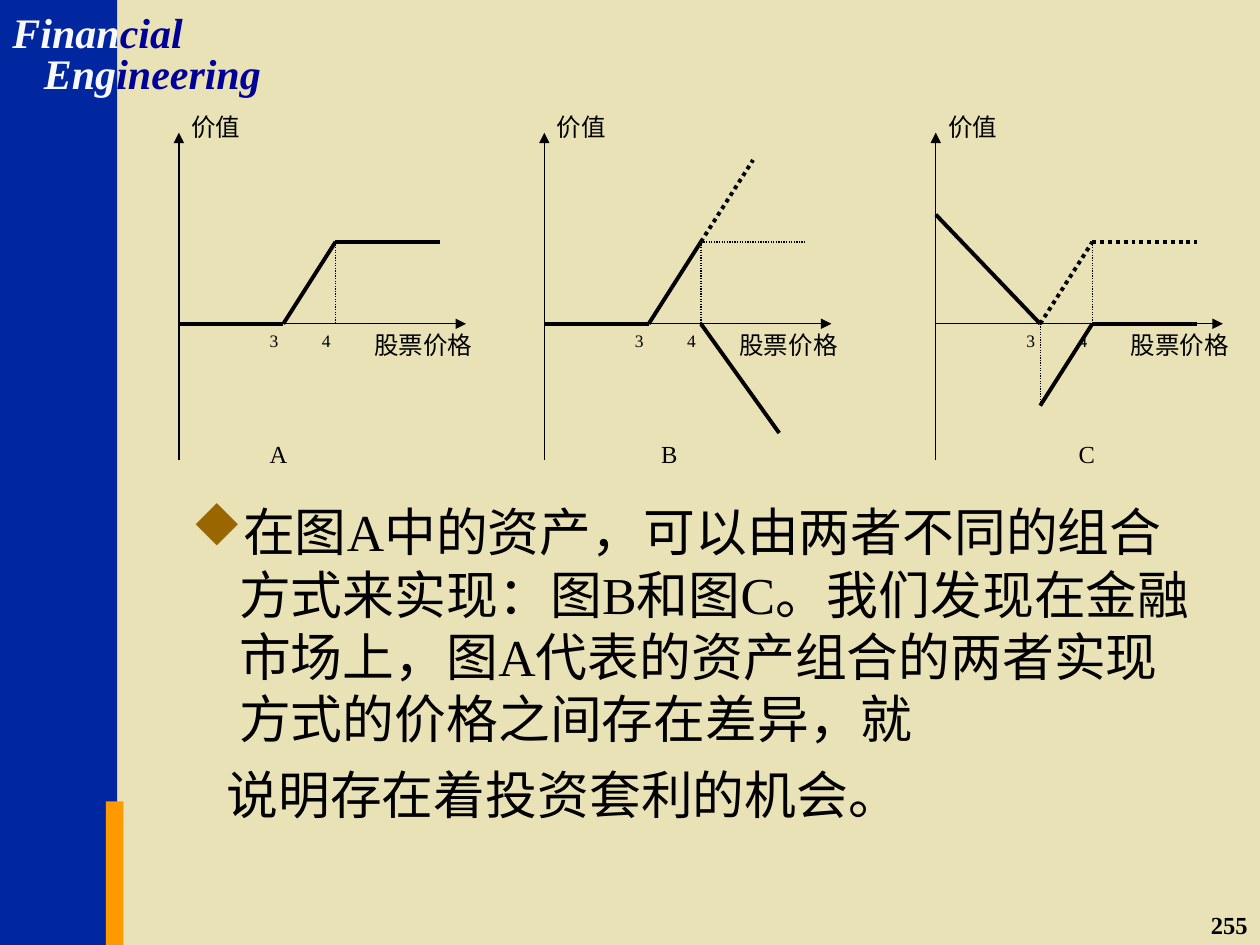
from lxml.etree import SubElement
from pptx import Presentation
from pptx.dml.color import RGBColor
from pptx.enum.dml import MSO_LINE
from pptx.enum.shapes import MSO_CONNECTOR, MSO_SHAPE
from pptx.enum.text import PP_ALIGN
from pptx.oxml.ns import qn
from pptx.util import Inches, Pt

SAND = RGBColor(0xE9, 0xE2, 0xB6)
BLUE = RGBColor(0x00, 0x27, 0x9F)
ORANGE = RGBColor(0xFF, 0x99, 0x00)
WHITE = RGBColor(0xF8, 0xF8, 0xF8)
NAVY = RGBColor(0x00, 0x00, 0x99)
BLACK = RGBColor(0x00, 0x00, 0x00)
BROWN = RGBColor(0x99, 0x66, 0x00)

FONT = "Times New Roman"
COL = Inches(2.9) / 14
ROW = Inches(2.6) / 12
LEFT = Inches(1.42)
AXIS_Y = Inches(2.57)
THIN, THICK = 0.75, 2.25

STRIKES = [("3", 3), ("4", 5)]
CHARTS = [
    {
        "origin": 0, "name": ("A", 3, 4),
        "payoff": [(0, 0, 4, 0), (4, 0, 6, 3), (6, 3, 10, 3)],
        "guides": [(6, 3, 6, 0)],
        "dotted": [],
    },
    {
        "origin": 14, "name": ("B", 4, 5),
        "payoff": [(0, 0, 4, 0), (4, 0, 6, 3), (6, 0, 9, -4)],
        "guides": [(6, 3, 6, 0), (6, 3, 10, 3)],
        "dotted": [(6, 3, 8, 6)],
    },
    {
        "origin": 29, "name": ("C", 5, 4),
        "payoff": [(0, 4, 4, 0), (4, -3, 6, 0), (6, 0, 10, 0)],
        "guides": [(6, 3, 6, 0), (4, 0, 4, -3)],
        "dotted": [(4, 0, 6, 3), (6, 3, 10, 3)],
    },
]


def grid_x(column):
    return round(LEFT + column * COL)


def grid_y(row):
    return round(AXIS_Y - row * ROW)


def set_font(paragraph, size, color=BLACK, bold=False, italic=False):
    font = paragraph.font
    font.name, font.size = FONT, Pt(size)
    font.bold, font.italic = bold, italic
    font.color.rgb = color


def add_band(slide, left, top, width, height, color):
    band = slide.shapes.add_shape(MSO_SHAPE.RECTANGLE, left, top, width, height)
    band.shadow.inherit = False
    band.fill.solid()
    band.fill.fore_color.rgb = color
    band.line.fill.background()


def add_text(slide, left, top, width, height, text, size, wrap=True, **style):
    frame = slide.shapes.add_textbox(left, top, width, height).text_frame
    frame.word_wrap = wrap
    paragraph = frame.paragraphs[0]
    paragraph.text = text
    set_font(paragraph, size, **style)
    return paragraph


def add_title_word(slide, left, top, width, light, dark):
    word = add_text(slide, Inches(left), Inches(top), Inches(width), Inches(0.5),
                    light, 24, wrap=False, bold=True, italic=True)
    word.runs[0].font.color.rgb = WHITE
    ending = word.add_run()
    ending.text = dark
    ending.font.color.rgb = NAVY


def add_segment(slide, origin, ends, weight, dotted=False, arrow=False):
    x1, y1, x2, y2 = ends
    segment = slide.shapes.add_connector(
        MSO_CONNECTOR.STRAIGHT, grid_x(origin + x1), grid_y(y1),
        grid_x(origin + x2), grid_y(y2))
    segment.line.color.rgb = BLACK
    segment.line.width = Pt(weight)
    if dotted:
        segment.line.dash_style = MSO_LINE.ROUND_DOT
    properties = segment._element.spPr
    if arrow:
        SubElement(properties.find(qn("a:ln")), qn("a:tailEnd"), type="triangle")
    SubElement(properties, qn("a:effectLst"))


def add_label(slide, column, row, columns, text, size):
    add_text(slide, grid_x(column), grid_y(row), round(columns * COL),
             round(3 * ROW), text, size)


def add_payoff_chart(slide, chart):
    origin = chart["origin"]
    for axis in [(0, 0, 11, 0), (0, -5, 0, 7)]:
        add_segment(slide, origin, axis, THIN, arrow=True)
    for ends in chart["payoff"]:
        add_segment(slide, origin, ends, THICK)
    for ends in chart["guides"]:
        add_segment(slide, origin, ends, THIN, dotted=True)
    for ends in chart["dotted"]:
        add_segment(slide, origin, ends, THICK, dotted=True)
    for strike, column in STRIKES:
        add_label(slide, origin + column, 0, 3, strike, 10)
    add_label(slide, origin + 7, 0, 5, "股票价格", 14)
    add_label(slide, origin, 8, 5, "价值", 14)
    name, column, columns = chart["name"]
    add_label(slide, origin + column, -4, columns, name, 14)


def indent(paragraph, margin, first_line):
    properties = paragraph._p.get_or_add_pPr()
    properties.set("marL", str(Inches(margin)))
    properties.set("indent", str(Inches(first_line)))
    return properties


def add_diamond_bullet(properties):
    bullet_color = SubElement(properties, qn("a:buClr"))
    SubElement(bullet_color, qn("a:srgbClr"), val=str(BROWN))
    SubElement(properties, qn("a:buFont"), typeface="Wingdings",
               pitchFamily="2", charset="2")
    SubElement(properties, qn("a:buChar"), char="u")


def add_explanation(slide):
    frame = slide.shapes.add_textbox(LEFT, Inches(3.92), Inches(8.17),
                                     Inches(2.92)).text_frame
    frame.word_wrap = True
    finding = frame.paragraphs[0]
    finding.text = ("在图A中的资产，可以由两者不同的组合方式来实现：图B和图C。"
                    "我们发现在金融市场上，图A代表的资产组合的两者实现方式的"
                    "价格之间存在差异，就")
    add_diamond_bullet(indent(finding, 0.38, -0.38))
    set_font(finding, 29.6)

    conclusion = frame.add_paragraph()
    conclusion.text = "说明存在着投资套利的机会。"
    indent(conclusion, 0.38, -0.1)
    conclusion.space_before = Pt(8)
    set_font(conclusion, 29.6)


def main():
    deck = Presentation()
    deck.slide_width, deck.slide_height = Inches(10), Inches(7.5)
    slide = deck.slides.add_slide(deck.slide_layouts[6])
    slide.background.fill.solid()
    slide.background.fill.fore_color.rgb = SAND

    add_band(slide, 0, 0, Inches(0.93), deck.slide_height, BLUE)
    add_band(slide, Inches(0.84), Inches(6.36), Inches(0.14), Inches(1.14), ORANGE)
    add_title_word(slide, 0, 0, 1.55, "Finan", "cial")
    add_title_word(slide, 0.25, 0.33, 1.92, "Eng", "ineering")
    page_number = add_text(slide, Inches(7.92), Inches(7.17), Inches(2.08),
                           Inches(0.33), "255", 14, bold=True)
    page_number.alignment = PP_ALIGN.RIGHT
    add_explanation(slide)
    for chart in CHARTS:
        add_payoff_chart(slide, chart)
    deck.save("out.pptx")


if __name__ == "__main__":
    main()
